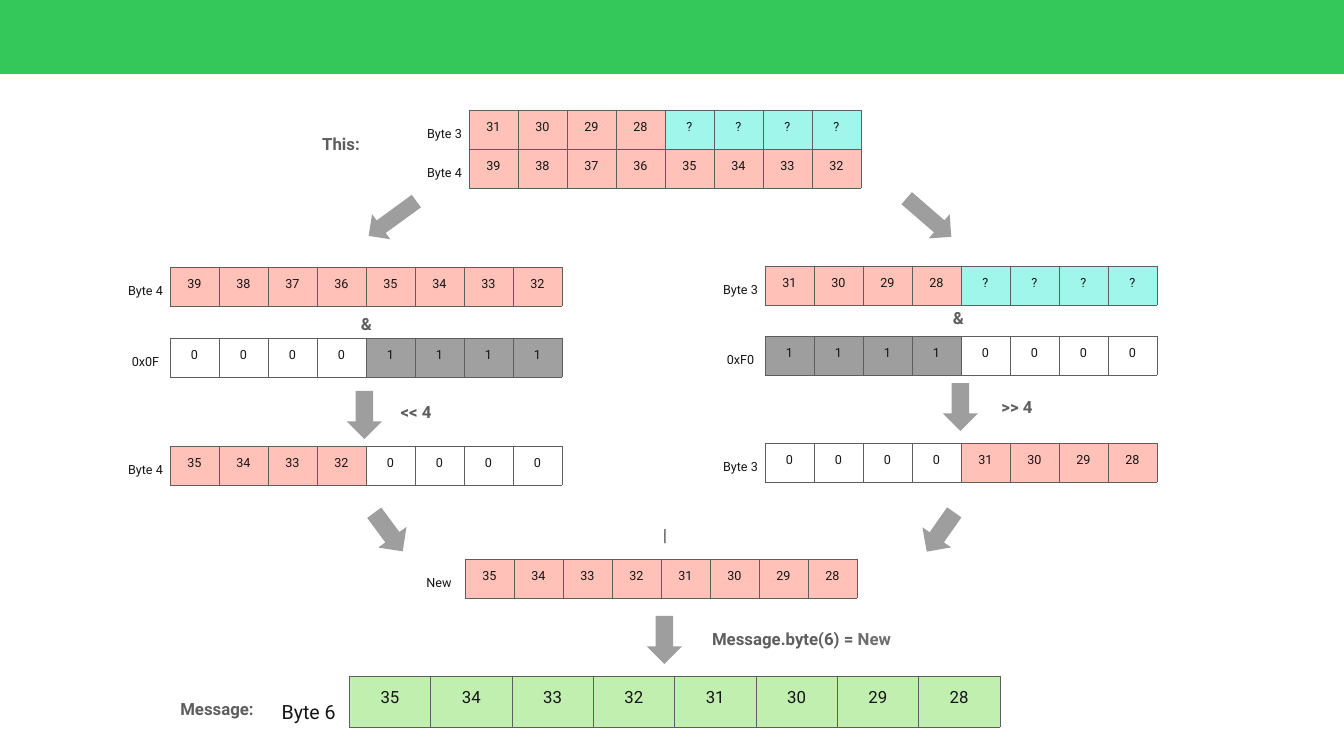
import dataclasses

import lxml.etree
import pptx
import pptx.dml.color
import pptx.enum.shapes
import pptx.enum.text
import pptx.oxml.ns
import pptx.util

PIXEL = 914400 / 50.4


@dataclasses.dataclass(frozen=True)
class Theme:
    font: str = "Roboto"
    band: str = "34C759"
    arrow: str = "9E9E9E"
    line: str = "5E5E5E"
    heading: str = "5E5E5E"
    accent: str = "6E6E6E"
    ink: str = "151515"
    blank: str = "FFFFFF"
    data: str = "FFC1B8"
    unknown: str = "A1F6EC"
    high_mask: str = "9E9E9E"
    low_mask: str = "A0A0A0"
    message: str = "C0EFAF"
    cell_size: int = 18
    heading_size: int = 24
    message_label_size: int = 28


class Diagram:
    def __init__(self, slide, theme):
        self.slide = slide
        self.theme = theme

    @staticmethod
    def emu(*pixels):
        return [pptx.util.Emu(round(pixel * PIXEL)) for pixel in pixels]

    @staticmethod
    def rgb(color):
        return pptx.dml.color.RGBColor.from_string(color)

    def run(self, paragraph, text, size, color, bold=False):
        run = paragraph.add_run()
        run.text = text
        run.font.name = self.theme.font
        run.font.size = pptx.util.Pt(size)
        run.font.bold = bold
        run.font.color.rgb = self.rgb(color)

    def shape(self, kind, box, color, rotation=0):
        shape = self.slide.shapes.add_shape(kind, *self.emu(*box))
        shape.shadow.inherit = False
        shape.fill.solid()
        shape.fill.fore_color.rgb = self.rgb(color)
        shape.line.fill.background()
        shape.rotation = rotation

    def arrow(self, left, top, width=35, height=48, rotation=0):
        self.shape(pptx.enum.shapes.MSO_SHAPE.DOWN_ARROW,
                   (left, top, width, height), self.theme.arrow, rotation)

    def text(self, box, runs, inset=None):
        frame = self.slide.shapes.add_textbox(*self.emu(*box)).text_frame
        frame.word_wrap = True
        frame.auto_size = pptx.enum.text.MSO_AUTO_SIZE.SHAPE_TO_FIT_TEXT
        if inset is not None:
            frame.vertical_anchor = pptx.enum.text.MSO_ANCHOR.MIDDLE
            for side in ("left", "top", "right", "bottom"):
                setattr(frame, "margin_" + side, self.emu(inset)[0])
        paragraph = frame.paragraphs[0]
        paragraph.alignment = pptx.enum.text.PP_ALIGN.CENTER
        for words, color in runs:
            self.run(paragraph, words, self.theme.heading_size, color, True)

    def borders(self, cell, visible):
        properties = cell._tc.get_or_add_tcPr()
        tag = pptx.oxml.ns.qn
        for side in "LRTB":
            line = lxml.etree.SubElement(properties, tag("a:ln" + side), w="12700")
            if side in visible:
                fill = lxml.etree.SubElement(line, tag("a:solidFill"))
                lxml.etree.SubElement(fill, tag("a:srgbClr"), val=self.theme.line)
            else:
                lxml.etree.SubElement(line, tag("a:noFill"))

    def cell(self, cell, text, size, color, spacing, visible="LRTB"):
        self.borders(cell, visible)
        cell.fill.solid()
        cell.fill.fore_color.rgb = self.rgb(color)
        paragraph = cell.text_frame.paragraphs[0]
        paragraph.alignment = pptx.enum.text.PP_ALIGN.CENTER
        paragraph.line_spacing = spacing
        self.run(paragraph, text, size, self.theme.ink)

    def bytes(self, left, top, rows, width=441, height=39, sizes=None):
        """Each row is a label followed by (bits, fill) groups."""
        label_size, bit_size = sizes or (self.theme.cell_size,) * 2
        box = self.emu(left, top, width, height * len(rows))
        table = self.slide.shapes.add_table(len(rows), 9, *box).table
        table.first_row = table.horz_banding = False
        for column in table.columns:
            column.width = self.emu(width / 9)[0]
        for index, (label, *groups) in enumerate(rows):
            self.cell(table.cell(index, 0), label, label_size,
                      self.theme.blank, 2.0, "R")
            bits = [(bit, fill) for group, fill in groups for bit in group.split()]
            for position, (bit, fill) in enumerate(bits, 1):
                self.cell(table.cell(index, position), bit, bit_size, fill, 1.5)


theme = Theme()
presentation = pptx.Presentation()
presentation.slide_width, presentation.slide_height = Diagram.emu(1344, 756)
slide = presentation.slides.add_slide(presentation.slide_layouts[6])
diagram = Diagram(slide, theme)

# Header band
diagram.shape(pptx.enum.shapes.MSO_SHAPE.RECTANGLE, (0, 0, 1344, 74), theme.band)

# Byte contents
byte_3 = ("Byte 3", ("31 30 29 28", theme.data), ("? ? ? ?", theme.unknown))
byte_4 = ("Byte 4", ("39 38 37 36 35 34 33 32", theme.data))
zeros = ("0 0 0 0", theme.blank)
low_data = ("35 34 33 32", theme.data)
high_data = ("31 30 29 28", theme.data)

# Starting pair, then the masked and shifted bytes of each branch
for left, top, *rows in (
    (420, 110, byte_3, byte_4),
    (716, 266, byte_3),
    (716, 336, ("0xF0", ("1 1 1 1", theme.high_mask), zeros)),
    (716, 443, ("Byte 3", zeros, high_data)),
    (121, 267, byte_4),
    (121, 338, ("0x0F", zeros, ("1 1 1 1", theme.low_mask))),
    (121, 446, ("Byte 4", low_data, zeros)),
    (416, 559, ("New ", low_data, high_data)),
):
    diagram.bytes(left, top, rows)

# Resulting message byte
diagram.bytes(268, 676,
              [("Byte 6", ("35 34 33 32 31 30 29 28", theme.message))],
              width=732, height=45,
              sizes=(theme.message_label_size, theme.heading_size))

# Flow arrows
diagram.arrow(913, 188, 32, 59, rotation=310.9)
diagram.arrow(377, 189, 31, 59, rotation=54)
diagram.arrow(943, 383)
diagram.arrow(347, 391)
diagram.arrow(371, 508, rotation=323.6)
diagram.arrow(923, 508, rotation=35)
diagram.arrow(647, 616)

# Operators
for left, top, width, operator in (
    (943, 305, 31, "&"),
    (992, 394, 50, ">> 4"),
    (351, 311, 31, "&"),
    (391, 399, 50, "<< 4"),
    (640, 522, 50, "|"),
):
    diagram.text((left, top, width, 26), [(operator, theme.heading)], inset=3)

# Captions
diagram.text((645, 626, 313, 25),
             [("Message.byte(6) = ", theme.heading), ("New", theme.accent)])
diagram.text((250, 131, 182, 25), [("This:", theme.heading)])
diagram.text((65, 696, 304, 25), [("Message:", theme.heading)])

presentation.save("out.pptx")
